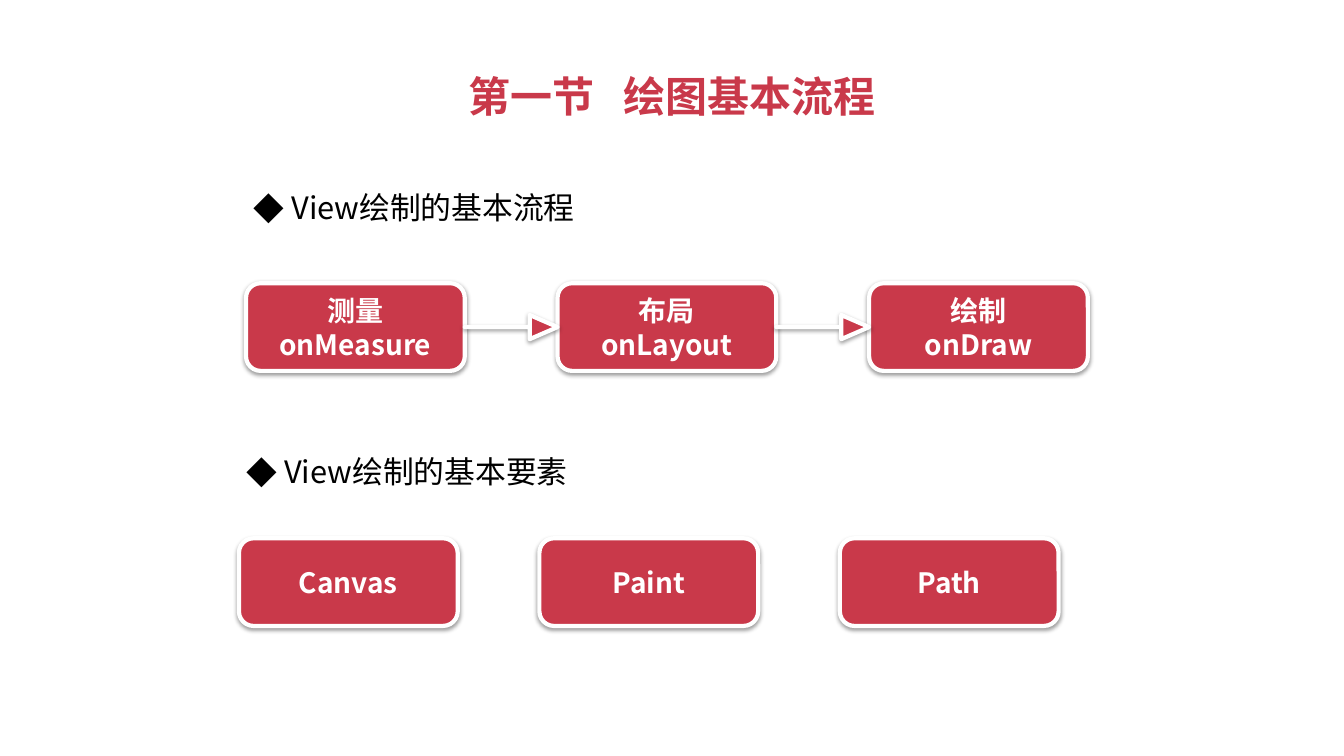
from dataclasses import dataclass

from lxml.etree import SubElement
from pptx import Presentation
from pptx.dml.color import RGBColor
from pptx.enum.shapes import MSO_SHAPE
from pptx.enum.text import MSO_ANCHOR, MSO_AUTO_SIZE, PP_ALIGN
from pptx.oxml.ns import qn
from pptx.util import Inches, Pt


@dataclass(frozen=True)
class Theme:
    font: str = "Noto Sans CJK SC"
    red: RGBColor = RGBColor(0xC9, 0x39, 0x4A)
    white: RGBColor = RGBColor(0xFF, 0xFF, 0xFF)
    black: RGBColor = RGBColor(0, 0, 0)
    title_size: int = 30
    heading_size: int = 22
    card_size: int = 20
    outline: int = 3


THEME = Theme()
CARD_WIDTH, CARD_HEIGHT = 2.17, 0.87
ARROW_HEIGHT = 0.24


def format_run(run, size, color, bold=False):
    font = run.font
    font.name, font.size, font.bold = THEME.font, Pt(size), bold
    font.color.rgb = color
    east_asian = SubElement(run._r.get_or_add_rPr(), qn("a:ea"))
    east_asian.set("typeface", THEME.font)


def add_title(slide, chapter, topic, left, top, width, height):
    title = slide.shapes.title
    title.left, title.top = Inches(left), Inches(top)
    title.width, title.height = Inches(width), Inches(height)
    frame = title.text_frame
    frame.word_wrap = False
    frame.auto_size = MSO_AUTO_SIZE.SHAPE_TO_FIT_TEXT
    frame.vertical_anchor = MSO_ANCHOR.TOP
    paragraph = frame.paragraphs[0]
    paragraph.alignment = PP_ALIGN.CENTER
    for part in (chapter, " ", topic):
        run = paragraph.add_run()
        run.text = part
        format_run(run, THEME.title_size, THEME.red, bold=True)
    gap = paragraph.runs[1]
    gap._r.get_or_add_rPr().set("spc", "1350")


def add_heading(slide, text, left, top, width=6.09, height=0.8):
    heading = slide.shapes.add_textbox(
        Inches(left), Inches(top), Inches(width), Inches(height))
    frame = heading.text_frame
    frame.word_wrap = True
    frame.vertical_anchor = MSO_ANCHOR.MIDDLE
    frame.margin_left = frame.margin_right = Inches(0.07)
    frame.margin_top = frame.margin_bottom = Inches(0.04)
    frame.text = text
    paragraph = frame.paragraphs[0]
    paragraph.line_spacing = 1.3
    paragraph.space_before = Pt(5)
    paragraph.space_after = Pt(3.3)
    format_run(paragraph.runs[0], THEME.heading_size, THEME.black)
    properties = paragraph._p.get_or_add_pPr()
    indent = Inches(0.38)
    properties.set("marL", str(indent))
    properties.set("indent", str(-indent))
    SubElement(properties, qn("a:buFont")).set("typeface", THEME.font)
    SubElement(properties, qn("a:buChar")).set("char", "◆")


def add_raised_shape(slide, kind, left, top, width, height):
    shape = slide.shapes.add_shape(
        kind, Inches(left), Inches(top), Inches(width), Inches(height))
    shape.fill.solid()
    shape.fill.fore_color.rgb = THEME.red
    shape.line.color.rgb = THEME.white
    shape.line.width = Pt(THEME.outline)
    shape.shadow.inherit = False
    effects = shape._element.spPr.find(qn("a:effectLst"))
    shadow = SubElement(effects, qn("a:outerShdw"), blurRad=str(Pt(3.1)),
                        dist=str(Pt(1.6)), dir="5400000", rotWithShape="0")
    color = SubElement(shadow, qn("a:srgbClr"), val="000000")
    SubElement(color, qn("a:alpha"), val="38000")
    return shape


def add_card(slide, label, left, top):
    card = add_raised_shape(slide, MSO_SHAPE.ROUNDED_RECTANGLE,
                            left, top, CARD_WIDTH, CARD_HEIGHT)
    frame = card.text_frame
    frame.vertical_anchor = MSO_ANCHOR.MIDDLE
    frame.text = label
    for paragraph in frame.paragraphs:
        paragraph.alignment = PP_ALIGN.CENTER
        format_run(paragraph.runs[0], THEME.card_size, THEME.white, bold=True)


def add_card_row(slide, labels, left, top, pitch):
    for index, label in enumerate(labels):
        add_card(slide, label, left + index * pitch, top)


def add_step_arrows(slide, count, left, top, pitch):
    arrow_top = top + (CARD_HEIGHT - ARROW_HEIGHT) / 2
    for index in range(count):
        arrow = add_raised_shape(
            slide, MSO_SHAPE.RIGHT_ARROW, left + index * pitch + CARD_WIDTH,
            arrow_top, pitch - CARD_WIDTH, ARROW_HEIGHT)
        arrow.adjustments[0] = 0
        arrow.adjustments[1] = 1.15


def add_process(slide, heading, steps, left, top, pitch=3.09):
    row_top = top + 1.21
    add_heading(slide, heading, left, top)
    add_card_row(slide, steps, left, row_top, pitch)
    add_step_arrows(slide, len(steps) - 1, left, row_top, pitch)


def add_elements(slide, heading, elements, left, top, pitch=2.98):
    add_heading(slide, heading, left, top)
    add_card_row(slide, elements, left, top + 1.12, pitch)


def main():
    presentation = Presentation()
    presentation.slide_width = Inches(13.33)
    presentation.slide_height = Inches(7.5)
    slide = presentation.slides.add_slide(presentation.slide_layouts[5])
    add_title(slide, "第一节", "绘图基本流程", 4.44, 0.65, 4.45, 0.6)
    add_process(slide, "View绘制的基本流程",
                ["测量\nonMeasure", "布局\nonLayout", "绘制\nonDraw"], 2.44, 1.6)
    add_elements(slide, "View绘制的基本要素",
                 ["Canvas", "Paint", "Path"], 2.37, 4.22)
    presentation.save("out.pptx")


if __name__ == "__main__":
    main()
